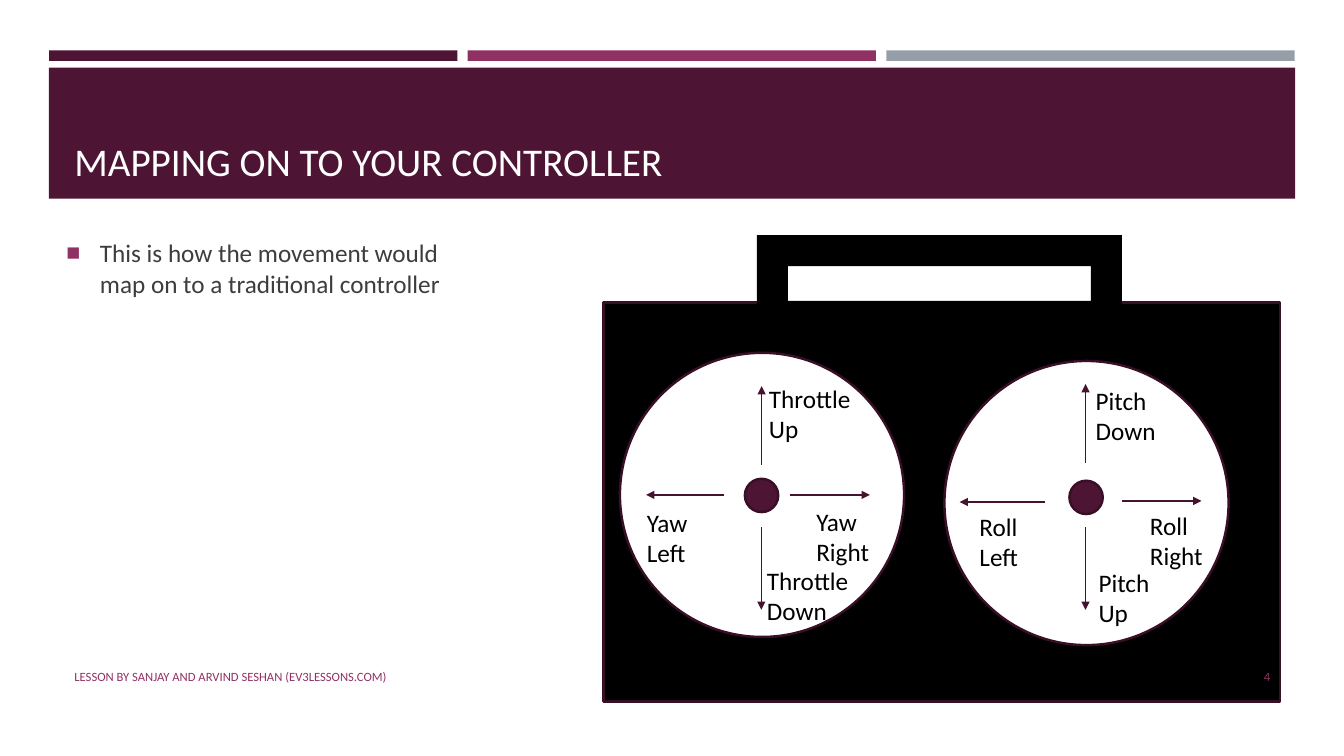
from dataclasses import dataclass

import lxml.etree
import pptx
import pptx.dml.color
import pptx.enum.shapes
import pptx.enum.text
import pptx.oxml.ns
import pptx.util

Pt = pptx.util.Pt
Shape = pptx.enum.shapes.MSO_SHAPE
Align = pptx.enum.text.PP_ALIGN
Anchor = pptx.enum.text.MSO_ANCHOR
qn = pptx.oxml.ns.qn


@dataclass(frozen=True)
class Theme:
    font: str = "Calibri"
    plum: str = "4D1434"
    magenta: str = "903163"
    gray: str = "969FA7"
    outline: str = "390F26"
    arrow: str = "45122F"
    body: str = "3D3D3D"
    black: str = "000000"
    white: str = "FFFFFF"
    title_size: float = 28
    text_size: float = 18
    footer_size: float = 9


@dataclass(frozen=True)
class Box:
    left: float
    top: float
    width: float
    height: float

    def lengths(self) -> tuple:
        return Pt(self.left), Pt(self.top), Pt(self.width), Pt(self.height)


@dataclass(frozen=True)
class Move:
    """One stick direction: its label and its arrow from start to tip."""
    label: str
    label_box: Box
    start: tuple[float, float]
    tip: tuple[float, float]


@dataclass(frozen=True)
class Stick:
    dial: Box
    knob: Box
    moves: tuple[Move, ...]


THEME = Theme()

THROTTLE_YAW = Stick(
    dial=Box(442.8, 252, 203, 203),
    knob=Box(532.1, 342, 23.8, 23.8),
    moves=(
        Move("Throttle Up", Box(542.2, 270, 91.4, 51), (544, 331.9), (544, 275.8)),
        Move("Throttle Down", Box(540.7, 400.3, 91.4, 51), (543.8, 376.6), (543.8, 435.6)),
        Move("Yaw Left", Box(455, 358.6, 48.2, 51), (517, 353.5), (461.5, 353.5)),
        Move("Yaw Right", Box(576, 357.8, 58.3, 51), (564.5, 353.5), (621.4, 353.5)),
    ),
)
PITCH_ROLL = Stick(
    dial=Box(674.6, 257.8, 203, 203),
    knob=Box(763.9, 343.4, 23.8, 23.8),
    moves=(
        Move("Pitch Down", Box(775.6, 271.4, 91.4, 51), (775.4, 330.5), (775.4, 274.3)),
        Move("Pitch Up", Box(777.6, 401.8, 64.8, 51), (775.4, 376.6), (775.4, 435.6)),
        Move("Roll Left", Box(692.6, 361.4, 48.2, 51), (746.6, 358.6), (685.4, 358.6)),
        Move("Roll\nRight", Box(814.3, 360.7, 58.3, 51), (801.4, 357.8), (858.2, 357.8)),
    ),
)


def rgb(color: str) -> pptx.dml.color.RGBColor:
    return pptx.dml.color.RGBColor.from_string(color)


def draw_shape(slide, kind, box: Box, fill: str, outline: str | None = None):
    shape = slide.shapes.add_shape(kind, *box.lengths())
    shape.shadow.inherit = False
    shape.fill.solid()
    shape.fill.fore_color.rgb = rgb(fill)
    if outline:
        shape.line.color.rgb = rgb(outline)
        shape.line.width = Pt(1.75)
    else:
        shape.line.fill.background()
    return shape


def add_bullet(paragraph) -> None:
    properties = paragraph._p.get_or_add_pPr()
    properties.set("marL", str(Pt(24)))
    properties.set("indent", str(-Pt(24)))
    color = lxml.etree.SubElement(properties, qn("a:buClr"))
    lxml.etree.SubElement(color, qn("a:srgbClr"), val=THEME.magenta)
    lxml.etree.SubElement(properties, qn("a:buSzPct"), val="92000")
    lxml.etree.SubElement(properties, qn("a:buFont"), typeface="Arial")
    lxml.etree.SubElement(properties, qn("a:buChar"), char="■")


def draw_text(slide, text: str, box: Box, *, size: float = THEME.text_size,
              color: str = THEME.black, align=Align.LEFT, anchor=Anchor.TOP,
              bullet: bool = False) -> None:
    frame = slide.shapes.add_textbox(*box.lengths()).text_frame
    frame.word_wrap = True
    frame.vertical_anchor = anchor
    frame.text = text
    for paragraph in frame.paragraphs:
        paragraph.alignment = align
        if bullet:
            paragraph.space_after = Pt(6)
            add_bullet(paragraph)
        paragraph.font.name = THEME.font
        paragraph.font.size = Pt(size)
        paragraph.font.color.rgb = rgb(color)


def draw_arrow(slide, start: tuple[float, float], tip: tuple[float, float]) -> None:
    arrow = slide.shapes.add_connector(
        pptx.enum.shapes.MSO_CONNECTOR.STRAIGHT, *map(Pt, start + tip))
    arrow.line.color.rgb = rgb(THEME.arrow)
    arrow.line.width = Pt(1)
    lxml.etree.SubElement(arrow.line._get_or_add_ln(), qn("a:tailEnd"), type="triangle")
    lxml.etree.SubElement(arrow._element.spPr, qn("a:effectLst"))


def draw_stick(slide, stick: Stick) -> None:
    draw_shape(slide, Shape.OVAL, stick.dial, THEME.white, THEME.outline)
    draw_shape(slide, Shape.OVAL, stick.knob, THEME.plum, THEME.outline)
    for move in stick.moves:
        draw_arrow(slide, move.start, move.tip)
        draw_text(slide, move.label, move.label_box)


def main() -> None:
    deck = pptx.Presentation()
    deck.slide_width, deck.slide_height = Pt(960), Pt(540)
    slide = deck.slides.add_slide(deck.slide_layouts[6])

    # Header stripes and title band
    for column, color in enumerate((THEME.plum, THEME.magenta, THEME.gray)):
        draw_shape(slide, Shape.RECTANGLE, Box(35.1 + 299 * column, 36, 291.6, 7.5), color)
    draw_shape(slide, Shape.RECTANGLE, Box(34.9, 48.4, 890.3, 93.6), THEME.plum)
    draw_text(slide, "MAPPING ON TO YOUR CONTROLLER", Box(46.1, 55.4, 868.3, 79.9),
              size=THEME.title_size, color=THEME.white, anchor=Anchor.BOTTOM)

    # Explanation
    draw_text(slide, "This is how the movement would map on to a traditional controller",
              Box(40.3, 166.3, 313.9, 289.4), color=THEME.body, bullet=True)

    # Controller with handle and two sticks
    draw_shape(slide, Shape.RECTANGLE, Box(431.1, 216, 483.1, 285.1),
               THEME.black, THEME.outline)
    handle = draw_shape(slide, Shape.FRAME, Box(540.7, 168, 260.6, 69.1), THEME.black)
    handle.adjustments[0] = 0.32
    for stick in (THROTTLE_YAW, PITCH_ROLL):
        draw_stick(slide, stick)

    # Footer
    footer = {"size": THEME.footer_size, "color": THEME.magenta, "anchor": Anchor.MIDDLE}
    draw_text(slide, "4", Box(831.6, 468.7, 82.8, 28.8), align=Align.RIGHT, **footer)
    draw_text(slide, "LESSON BY SANJAY AND ARVIND SESHAN (EV3LESSONS.COM)",
              Box(46.1, 468.7, 544.3, 28.8), **footer)

    deck.save("out.pptx")


if __name__ == "__main__":
    main()
